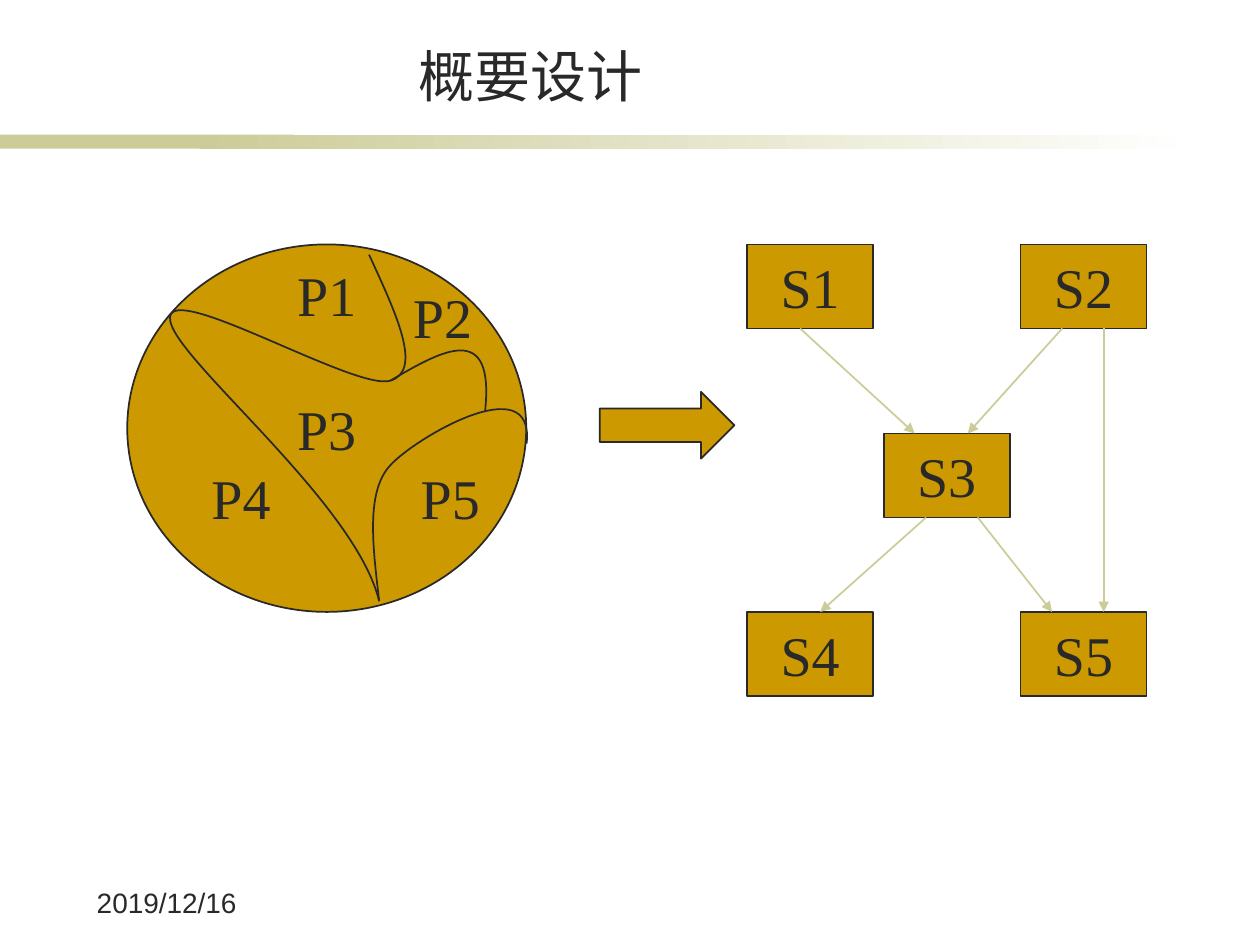
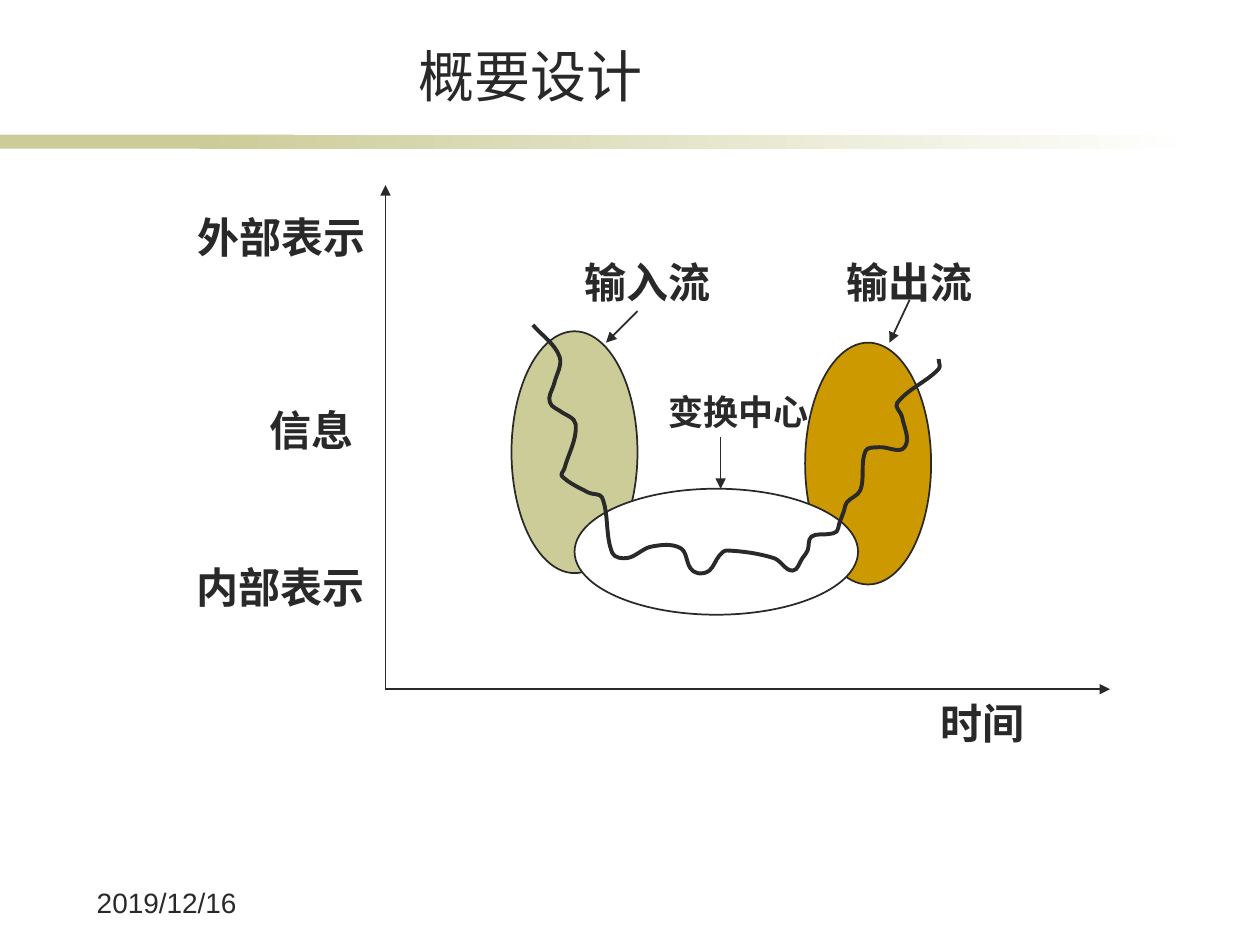
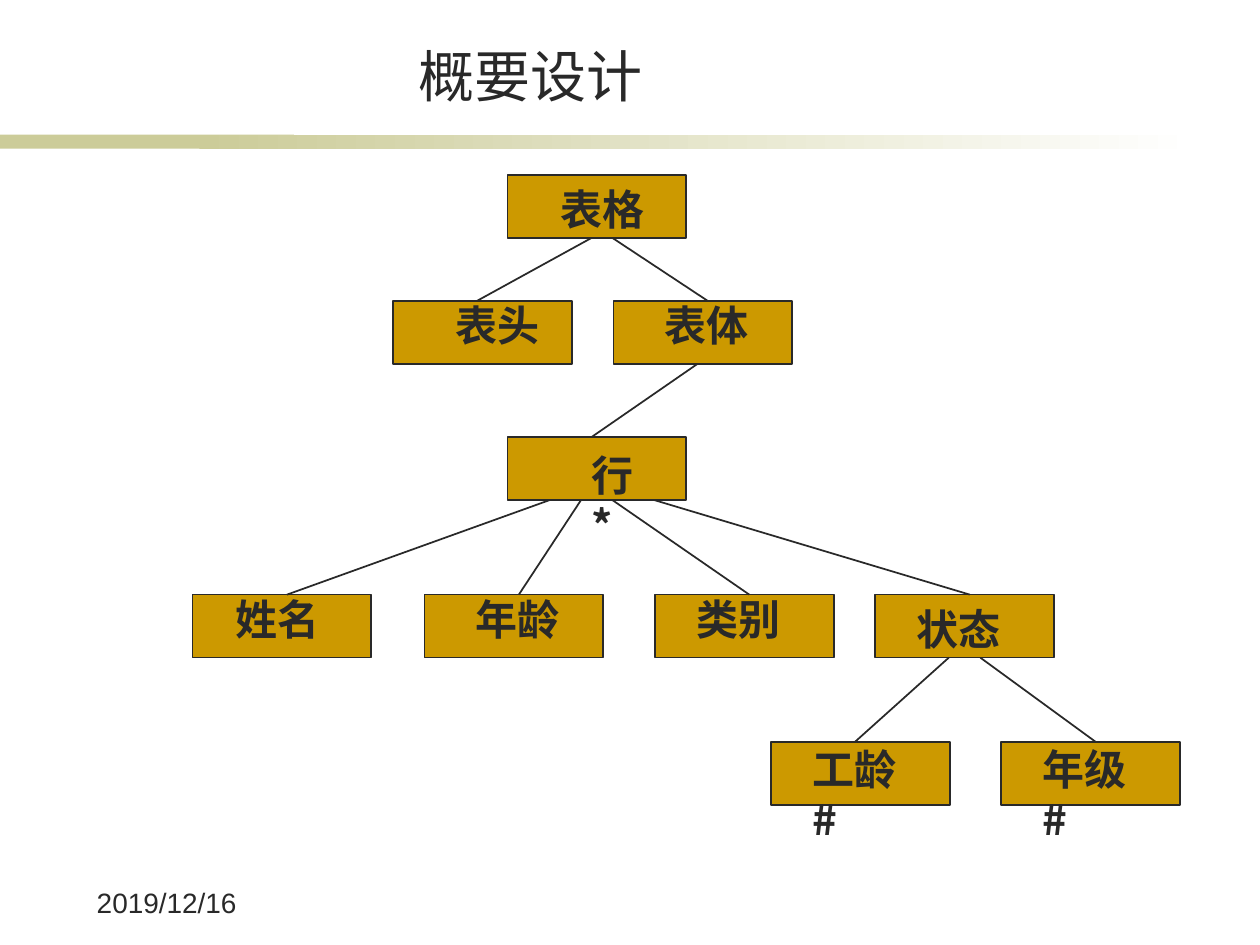
from itertools import pairwise
from math import dist

from lxml.etree import SubElement
from pptx import Presentation
from pptx.dml.color import RGBColor
from pptx.enum.shapes import MSO_CONNECTOR as Connector, MSO_SHAPE as Preset
from pptx.enum.text import MSO_ANCHOR as Anchor, MSO_AUTO_SIZE as AutoSize, PP_ALIGN as Align
from pptx.oxml.ns import qn
from pptx.util import Pt

COLORS = {"ink": "292929", "gold": "CC9900", "sage": "CCCC99", "paper": "FFFFFF"}
ASIAN_FONT = "Noto Sans CJK SC"
FONTS = {
    "title": {"name": "Arial", "size": Pt(32), "bold": False},
    "date": {"name": "Arial", "size": Pt(16), "bold": False},
    "part": {"name": "Times New Roman", "size": Pt(32), "bold": False},
    "label": {"name": "Times New Roman", "size": Pt(24), "bold": True},
    "small": {"name": "Times New Roman", "size": Pt(20), "bold": True},
    "node": {"name": ASIAN_FONT, "size": Pt(24), "bold": True},
}


def color(name):
    """Return the palette colour with the given name."""
    return RGBColor.from_string(COLORS[name])


def write(shape, text, style, align=Align.LEFT, anchor=Anchor.TOP, wrap=False):
    """Put one styled line of text in a shape."""
    frame = shape.text_frame
    settings = {"word_wrap": wrap, "auto_size": AutoSize.NONE, "vertical_anchor": anchor}
    for key, value in settings.items():
        setattr(frame, key, value)
    paragraph = frame.paragraphs[0]
    paragraph.alignment = align
    run = paragraph.add_run()
    run.text = text
    for key, value in FONTS[style].items():
        setattr(run.font, key, value)
    run.font.color.rgb = color("ink")
    SubElement(run.font._element, qn("a:ea"), typeface=ASIAN_FONT)


def add_label(slide, text, left, top, width, height, style, wrap=False):
    """Add a text box."""
    box = slide.shapes.add_textbox(Pt(left), Pt(top), Pt(width), Pt(height))
    write(box, text, style, wrap=wrap)


def add_preset(slide, preset, left, top, width, height, fill="gold", outlined=True):
    """Add a flat preset shape."""
    shape = slide.shapes.add_shape(preset, Pt(left), Pt(top), Pt(width), Pt(height))
    shape.shadow.inherit = False
    shape.fill.solid()
    shape.fill.fore_color.rgb = color(fill)
    if outlined:
        shape.line.color.rgb = color("ink")
        shape.line.width = Pt(1)
    else:
        shape.line.fill.background()
    return shape


def add_line(slide, left, top, start, end, line="ink", arrow=True):
    """Add a straight line between two points of a box."""
    (x1, y1), (x2, y2) = start, end
    connector = slide.shapes.add_connector(
        Connector.STRAIGHT, Pt(left + x1), Pt(top + y1), Pt(left + x2), Pt(top + y2))
    connector.line.color.rgb = color(line)
    connector.line.width = Pt(1)
    properties = connector._element.spPr
    if arrow:
        SubElement(properties.find(qn("a:ln")), qn("a:tailEnd"), type="triangle")
    SubElement(properties, qn("a:effectLst"))


def add_curve(slide, left, top, points, width=1):
    """Add an open Bezier curve from a start point and triples of points."""
    placed = [(Pt(left + x), Pt(top + y)) for x, y in points]
    builder = slide.shapes.build_freeform(*placed[0])
    builder.add_line_segments(placed[1:], close=False)
    shape = builder.convert_to_shape()
    shape.shadow.inherit = False
    shape.fill.background()
    shape.line.color.rgb = color("ink")
    shape.line.width = Pt(width)
    outline = next(shape._element.iter(qn("a:path")))
    segments = outline.findall(qn("a:lnTo"))
    for index in range(0, len(segments), 3):
        bezier = SubElement(outline, qn("a:cubicBezTo"))
        for segment in segments[index:index + 3]:
            bezier.append(segment[0])
            outline.remove(segment)


def smooth(knots):
    """Return Bezier points for a smooth curve through the knots."""
    tangents = []
    for before, after in zip(knots[:1] + knots[:-1], knots[1:] + knots[-1:]):
        length = dist(before, after)
        tangents.append(((after[0] - before[0]) / length, (after[1] - before[1]) / length))
    points = [knots[0]]
    for (start, out), (end, into) in pairwise(zip(knots, tangents)):
        reach = dist(start, end) / 3
        points += [
            (start[0] + reach * out[0], start[1] + reach * out[1]),
            (end[0] - reach * into[0], end[1] - reach * into[1]),
            end,
        ]
    return points


def add_bands(slide, layout, top):
    """Draw the header bands and move them to the shared layout."""
    solid = add_preset(slide, Preset.RECTANGLE, 0, top, 168, 8, "sage", outlined=False)
    fading = add_preset(slide, Preset.RECTANGLE, 114, top, 570, 8, "sage", outlined=False)
    fading.fill.gradient()
    fading.fill.gradient_angle = 0
    for stop, position, name in zip(fading.fill.gradient_stops, (0, 1), ("sage", "paper")):
        stop.position = position
        stop.color.rgb = color(name)
    for index, band in enumerate((solid, fading), 2):
        layout.shapes._spTree.insert(index, band._element)


def add_slide(presentation, layout):
    """Add a slide with the common title and date."""
    slide = presentation.slides.add_slide(layout)
    title = slide.shapes.title
    place = {"left": Pt(82), "top": Pt(21), "width": Pt(442), "height": Pt(45)}
    for key, value in place.items():
        setattr(title, key, value)
    write(title, "概要设计", "title", Align.CENTER, Anchor.BOTTOM, wrap=True)
    add_label(slide, "2019/12/16", 48.2, 502.5, 101.5, 28, "date", wrap=True)
    return slide


def draw_problem(slide, left, top):
    """Draw the problem circle cut into five parts."""
    circle = add_preset(slide, Preset.OVAL, left, top, 228, 210)
    write(circle, "P3", "part", Align.CENTER, Anchor.MIDDLE)
    cuts = [
        [(138.2, 5.8), (153.4, 38.9), (169.2, 72), (150.5, 77.8), (131, 84.2),
         (25.2, 20.9), (24.5, 41.8), (23, 62.6), (130.3, 146.2), (144, 203.8)],
        [(144, 203.8), (140.4, 172.8), (136.1, 141.1), (150.5, 126),
         (164.2, 110.9), (233.3, 69.8), (228.2, 113.8)],
        [(150.5, 77.8), (180, 60.5), (210.2, 43.2), (204.5, 95.8)],
    ]
    for points in cuts:
        add_curve(slide, left, top, points)
    parts = {"P1": (90, 5.8), "P2": (156.2, 18), "P4": (41, 121.7), "P5": (160.6, 121.7)}
    for text, (x, y) in parts.items():
        add_label(slide, text, left + x, top + y, 48.4, 45.4, "part")


def draw_modules(slide, left, top):
    """Draw the five solution modules and their links."""
    modules = {"S1": (0, 0), "S2": (156.2, 0), "S3": (78, 108),
               "S4": (0, 210.2), "S5": (156.2, 210.2)}
    for text, (x, y) in modules.items():
        module = add_preset(slide, Preset.RECTANGLE, left + x, top + y, 72, 48)
        write(module, text, "part", Align.CENTER, Anchor.MIDDLE)
    links = [
        ((131.7, 156), (174.2, 210)), ((203.7, 48), (203.7, 210)),
        ((102.2, 156), (41.7, 210)), ((30.2, 48), (95.7, 108)), ((180, 48), (126, 108)),
    ]
    for start, end in links:
        add_line(slide, left, top, start, end, "sage")


def draw_flow(slide, left, top):
    """Draw the information flow over time on two axes."""
    width, height = 414, 288
    for end in ((0, 0), (width, height)):
        add_line(slide, left, top, (0, height), end)
    stages = [(72, 83.5, 72, 138.2, "sage"), (239.8, 90, 72, 138.2, "gold"),
              (108, 173.5, 162, 72, "paper")]
    for x, y, stage_width, stage_height, fill in stages:
        add_preset(slide, Preset.OVAL, left + x, top + y, stage_width, stage_height, fill)
    knots = [
        (84.2, 79.9), (99.4, 97.9), (96.5, 113), (93.6, 121.7), (95, 126), (99.4, 128.9),
        (108.7, 136.8), (102.2, 162), (100.8, 166.3), (115.9, 175.7), (123.8, 178.6),
        (129.6, 210.2), (138.2, 213.1), (151.9, 206.6), (168.5, 207.4), (174.2, 218.9),
        (178.6, 221.8), (185, 220.3), (190.8, 211.7), (195.1, 208.8), (221.8, 213.1),
        (232.6, 220.3), (238.3, 213.1), (241.2, 208.8), (243.4, 200.9), (253.4, 199.4),
        (257.8, 198), (259.2, 193.7), (262.1, 185.8), (263.5, 181.4), (271.4, 174.2),
        (274.3, 151.9), (282.2, 149.8), (296.6, 149.8), (295.2, 132.5), (292.3, 124.6),
        (316.1, 105.1), (316.1, 99.4),
    ]
    add_curve(slide, left, top, smooth(knots), 2.25)
    labels = [
        ("信息", -73.4, 121.7, "label"), ("外部表示", -114.5, 11.5, "label"),
        ("内部表示", -115.2, 211.7, "label"), ("时间", 310.3, 289.4, "label"),
        ("输入流", 106.6, 37.4, "label"), ("输出流", 256.3, 37.4, "label"),
        ("变换中心", 154.8, 113.8, "small"),
    ]
    for text, x, y, style in labels:
        size = FONTS[style]["size"].pt
        add_label(slide, text, left + x, top + y, len(text) * size + 14.8, size * 1.5, style)
    pointers = [((144, 72), (126, 90)), ((191.5, 144), (191.5, 173.5)),
                ((299.5, 65.5), (288, 90))]
    for start, end in pointers:
        add_line(slide, left, top, start, end)


def draw_tree(slide, left, top):
    """Draw the data structure tree."""
    width, height = 102.2, 36
    nodes = {
        "表格": (180, 0, 23, 1.4, 63),
        "表头": (114.5, 72, 28.8, -4.3, 63),
        "表体": (240.5, 72, 22.3, -4.3, 63),
        "行*": (180, 149.8, 41, 3.6, 50),
        "姓名": (0, 239.8, 17.3, -4.3, 63),
        "年龄": (132.5, 239.8, 22.3, -4.3, 63),
        "类别": (264.2, 239.8, 16.6, -4.3, 63),
        "状态": (390.2, 239.8, 16.6, 1.4, 63),
        "工龄#": (330.5, 324, 16.6, -2.9, 74.5),
        "年级#": (462.2, 324, 16.6, -2.9, 74.5),
    }
    links = [
        ("表格", "表头", 48), ("表格", "表体", 60), ("表体", "行*", 48),
        ("行*", "姓名", 24), ("行*", "年龄", 42), ("行*", "类别", 60), ("行*", "状态", 84),
        ("状态", "工龄#", 42), ("状态", "年级#", 60),
    ]
    for x, y, *_ in nodes.values():
        add_preset(slide, Preset.RECTANGLE, left + x, top + y, width, height)
    for parent, child, offset in links:
        start = (nodes[parent][0] + offset, nodes[parent][1] + height)
        end = (nodes[child][0] + 48, nodes[child][1])
        if child not in ("表头", "行*", "工龄#"):
            end = (end[0] + 6, end[1])
        add_line(slide, left, top, start, end, arrow=False)
    for text, (x, y, shift, drop, text_width) in nodes.items():
        add_label(slide, text, left + x + shift, top + y + drop, text_width, height,
                  "node", wrap=True)


def main():
    """Build and save the presentation."""
    presentation = Presentation()
    presentation.slide_width, presentation.slide_height = Pt(720), Pt(540)
    layout = presentation.slide_layouts[5]
    division, flow, tree = [add_slide(presentation, layout) for _ in range(3)]
    add_bands(division, layout, 77)
    draw_problem(division, 72.7, 139.7)
    arrow = add_preset(division, Preset.RIGHT_ARROW, 342.7, 223.9, 77, 38.2)
    arrow.adjustments[1] = 0.5
    draw_modules(division, 427, 139.7)
    draw_flow(flow, 220.3, 105.8)
    draw_tree(tree, 110, 100)
    presentation.save("out.pptx")


main()
